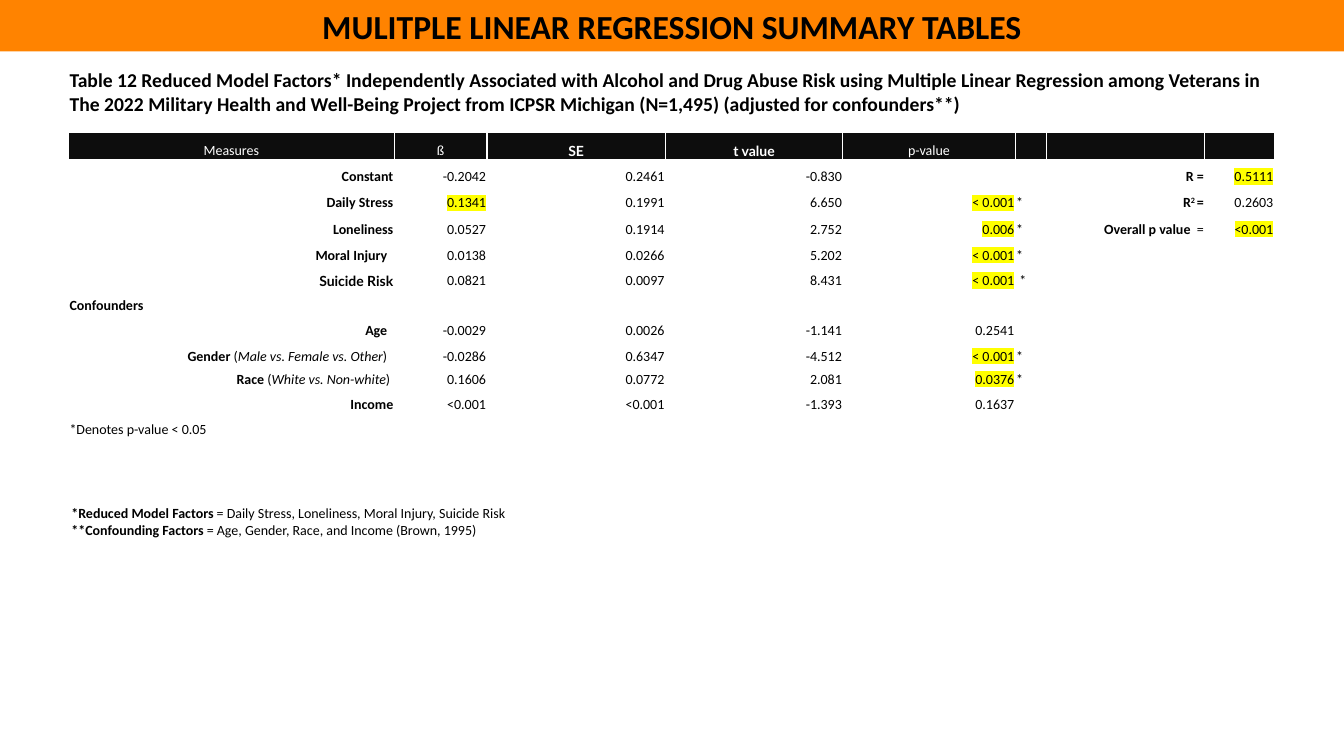
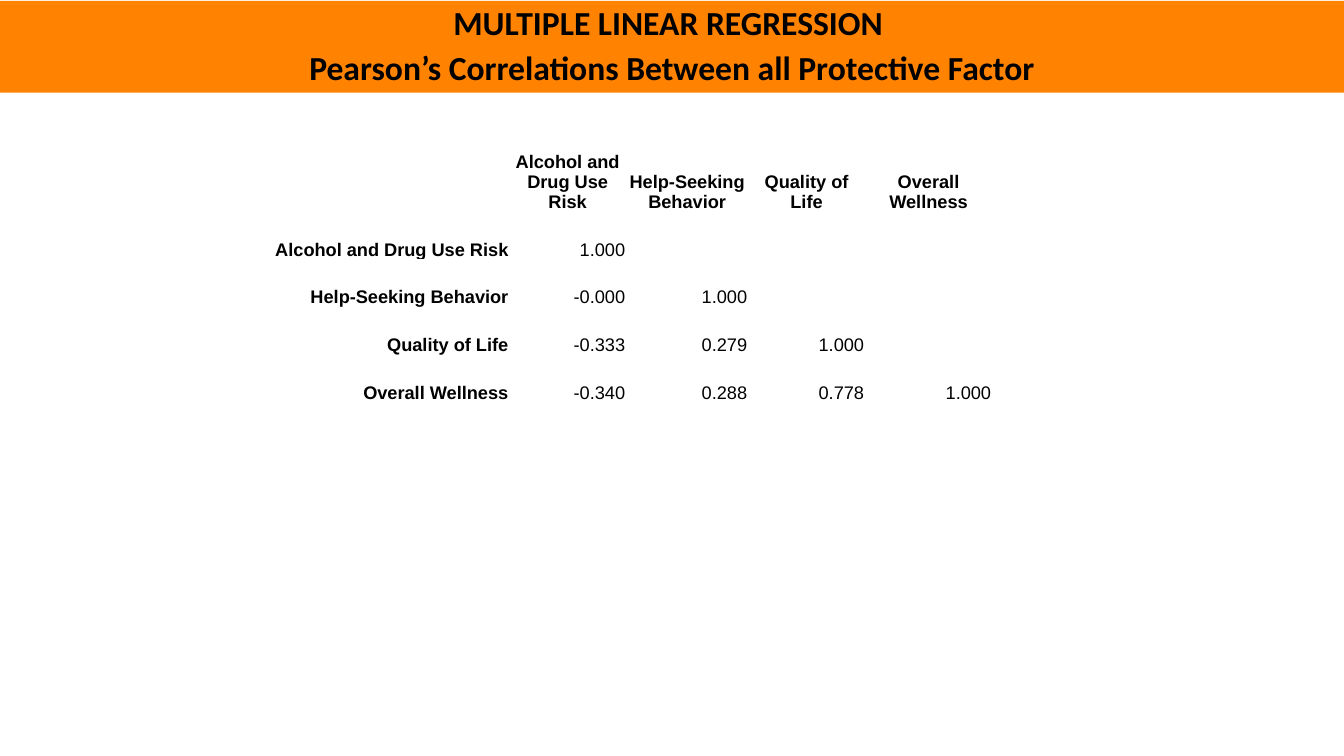
import pptx
import pptx.util
import pptx.dml.color
import pptx.enum.shapes
import pptx.enum.text
import pptx.oxml
import pptx.oxml.ns
from lxml import etree

Inches, Pt = pptx.util.Inches, pptx.util.Pt
RGB = pptx.dml.color.RGBColor
ALIGN = pptx.enum.text.PP_ALIGN
LEFT, MID, RIGHT = ALIGN.LEFT, ALIGN.CENTER, ALIGN.RIGHT
ANCHOR = pptx.enum.text.MSO_ANCHOR
qn = pptx.oxml.ns.qn

ORANGE = RGB(0xFF, 0x83, 0x00)
BLACK = RGB(0, 0, 0)
DARK = RGB(0x0D, 0x0D, 0x0D)
WHITE = RGB(0xFF, 0xFF, 0xFF)
YELLOW = RGB(0xFF, 0xFF, 0x00)
WIDE, HIGH = 13.33, 7.5

# Text is a string or a list of (words, flags);
# flags: r regular weight, i italic, s superscript, h highlight
CAPTION = ("Table 12 Reduced Model Factors* Independently Associated with Alcohol "
           "and Drug Abuse Risk using Multiple Linear Regression among Veterans in "
           "The 2022 Military Health and Well-Being Project from ICPSR Michigan "
           "(N=1,495) (adjusted for confounders**)")
HEADS = ["Measures", "ß", "SE", "t value", "p-value"]
GENDER = [("Gender ", ""), ("(", "r"), ("Male vs. Female vs. Other", "ri"), (")", "r")]
RACE = [("Race", ""), (" (", "r"), ("White vs. Non-white", "ri"), (")", "r")]
# label, right pad in spaces, ß, SE, t, p, star
MODEL = [
    ("Constant", 0, "-0.2042", "0.2461", "-0.830", "", ""),
    ("Daily Stress", 0, [("0.1341", "h")], "0.1991", "6.650", "< 0.001", "*"),
    ("Loneliness", 0, "0.0527", "0.1914", "2.752", "0.006", "*"),
    ("Moral Injury", 2, "0.0138", "0.0266", "5.202", "< 0.001", "*"),
    ("Suicide Risk", 0, "0.0821", "0.0097", "8.431", "< 0.001", " *"),
    ("Confounders", 0, "", "", "", "", ""),
    ("Age", 2, "-0.0029", "0.0026", "-1.141", "0.2541", ""),
    (GENDER, 2, "-0.0286", "0.6347", "-4.512", "< 0.001", "*"),
    (RACE, 1, "0.1606", "0.0772", "2.081", "0.0376", "*"),
    ("Income", 0, "<0.001", "<0.001", "-1.393", "0.1637", ""),
    ("*Denotes p-value < 0.05", 0, "", "", "", "", ""),
]
FIT = [
    ("R =", [("0.5111", "h")]),
    ([("R", ""), ("2 ", "s"), ("=", "")], "0.2603"),
    ([("Overall p value  ", ""), ("=", "r")], [("<0.001", "h")]),
]
NOTES = [
    [("*Reduced Model Factors ", ""),
     ("= Daily Stress, Loneliness, Moral Injury, Suicide Risk", "r")],
    [("**Confounding Factors ", ""),
     ("= Age, Gender, Race, and Income (Brown, 1995)", "r")],
]
FACTORS = ["Alcohol and Drug Use Risk", "Help-Seeking Behavior",
           "Quality of Life", "Overall Wellness"]
PAIRS = [["1.000"],
         ["-0.000", "1.000"],
         ["-0.333", "0.279", "1.000"],
         ["-0.340", "0.288", "0.778", "1.000"]]


def write(para, text, size, align=LEFT, bold=False, face="Calibri", color=BLACK):
    para.alignment = align
    font = para.font
    font.size, font.bold, font.name = Pt(size), bold, face
    font.color.rgb = color
    for words, flags in [(text, "")] if isinstance(text, str) else text:
        if not words:
            continue
        run = para.add_run()
        run.text = words
        if "r" in flags:
            run.font.bold = False
        if "i" in flags:
            run.font.italic = True
        props = run._r.get_or_add_rPr()
        if "s" in flags:
            props.set("baseline", "30000")
        if "h" in flags:
            mark = etree.SubElement(props, qn("a:highlight"))
            etree.SubElement(mark, qn("a:srgbClr")).set("val", str(YELLOW))
    if not para.runs:
        etree.SubElement(para._p, qn("a:endParaRPr")).set("sz", str(size * 100))


def put(cell, text, size, align=RIGHT, fill=None, pad=0, anchor=ANCHOR.BOTTOM, **style):
    cell.margin_left = cell.margin_top = Inches(0.01)
    cell.margin_right = Inches(0.01 + pad)
    cell.margin_bottom = 0
    cell.vertical_anchor = anchor
    if fill is None:
        cell.fill.background()
    else:
        edge(cell)
        cell.fill.solid()
        cell.fill.fore_color.rgb = fill
    write(cell.text_frame.paragraphs[0], text, size, align, **style)


def edge(cell):
    """Draw white one-point borders on all four sides."""
    props = cell._tc.get_or_add_tcPr()
    for side in ("lnL", "lnR", "lnT", "lnB"):
        line = etree.SubElement(props, qn("a:" + side))
        line.set("w", str(Pt(1)))
        paint = etree.SubElement(line, qn("a:solidFill"))
        etree.SubElement(paint, qn("a:srgbClr")).set("val", str(WHITE))


def grid(slide, left, top, cols, rows):
    table = slide.shapes.add_table(
        len(rows), len(cols), Inches(left), Inches(top),
        Inches(sum(cols)), Inches(sum(rows))).table
    table.first_row = table.horz_banding = False
    for col, size in zip(table.columns, cols):
        col.width = Inches(size)
    for row, size in zip(table.rows, rows):
        row.height = Inches(size)
    return table


def band(slide, top, height, lines, **gaps):
    """Add the orange title band across the slide."""
    bar = slide.shapes.add_shape(
        pptx.enum.shapes.MSO_SHAPE.RECTANGLE, 0, Inches(top), Inches(WIDE), Inches(height))
    bar.shadow.inherit = False
    bar.fill.solid()
    bar.fill.fore_color.rgb = ORANGE
    bar.line.fill.background()
    fill_frame(bar.text_frame, lines, 24, MID, **gaps)


def fill_frame(frame, lines, size, align=LEFT, spacing=None, after=None):
    frame.word_wrap = True
    for i, line in enumerate(lines):
        para = frame.add_paragraph() if i else frame.paragraphs[0]
        para.line_spacing = spacing
        para.space_after = after
        write(para, line, size, align, bold=True)


def summary(slide):
    band(slide, 0, 0.51, ["MULITPLE LINEAR REGRESSION SUMMARY TABLES"])
    cols = [3.23, 0.92, 1.77, 1.76, 1.71, 0.31, 1.57, 0.69]
    rows = [0.64, 0.27] + [0.26] * 4 + [0.25] * 4 + [0.23] + [0.25] * 2 + [0.44]
    table = grid(slide, 0.68, 0.67, cols, rows)
    last = len(cols) - 1
    for row, text in ((0, CAPTION), (len(rows) - 1, "")):
        table.cell(row, 0).merge(table.cell(row, last))
        put(table.cell(row, 0), text, 14, LEFT, WHITE, anchor=ANCHOR.TOP, bold=True)
    for c in range(len(cols)):
        text = HEADS[c] if c < len(HEADS) else ""
        strong = text in ("SE", "t value")
        put(table.cell(1, c), text, 10, MID, DARK, color=WHITE, bold=strong,
            face="Lato" if strong else "Calibri")
    for r, (label, pad, *nums, p, star) in enumerate(MODEL):
        name, value = FIT[r] if r < len(FIT) else ("", "")
        if star:
            p = [(p, "h")]
        note = label[0] == "*"
        head = LEFT if note or label == "Confounders" else RIGHT
        put(table.cell(r + 2, 0), label, 10, head, WHITE, pad * 0.03, bold=not note,
            face="Lato" if label == "Suicide Risk" else "Calibri")
        for c, text in enumerate([*nums, p, star, name, value], 1):
            put(table.cell(r + 2, c), text, 10, LEFT if c == 5 else RIGHT, WHITE,
                bold=c == 6)
    box = slide.shapes.add_textbox(Inches(0.61), Inches(4.96), Inches(11.58), Inches(0.61))
    fill_frame(box.text_frame, NOTES, 10)


def matrix(slide):
    table = grid(slide, 2.66, 1.42, [2.39, 1.16, 1.21, 1.16, 1.26],
                 [0.69, 0.47, 0.47, 0.48, 0.47])
    body = [["", *FACTORS]] + [[name, *nums] for name, nums in zip(FACTORS, PAIRS)]
    for r, line in enumerate(body):
        for c in range(len(FACTORS) + 1):
            put(table.cell(r, c), line[c] if c < len(line) else "", 13,
                RIGHT if r else MID, bold=r == 0 or c == 0, face="Arial")
    band(slide, 0.01, 0.91, ["MULTIPLE LINEAR REGRESSION ",
                             "Pearson’s Correlations Between all Protective Factor"],
         spacing=0.9, after=Pt(6))


def main():
    deck = pptx.Presentation()
    deck.slide_width, deck.slide_height = Inches(WIDE), Inches(HIGH)
    for build in (summary, matrix):
        build(deck.slides.add_slide(deck.slide_layouts[6]))
    deck.save("out.pptx")


if __name__ == "__main__":
    main()
